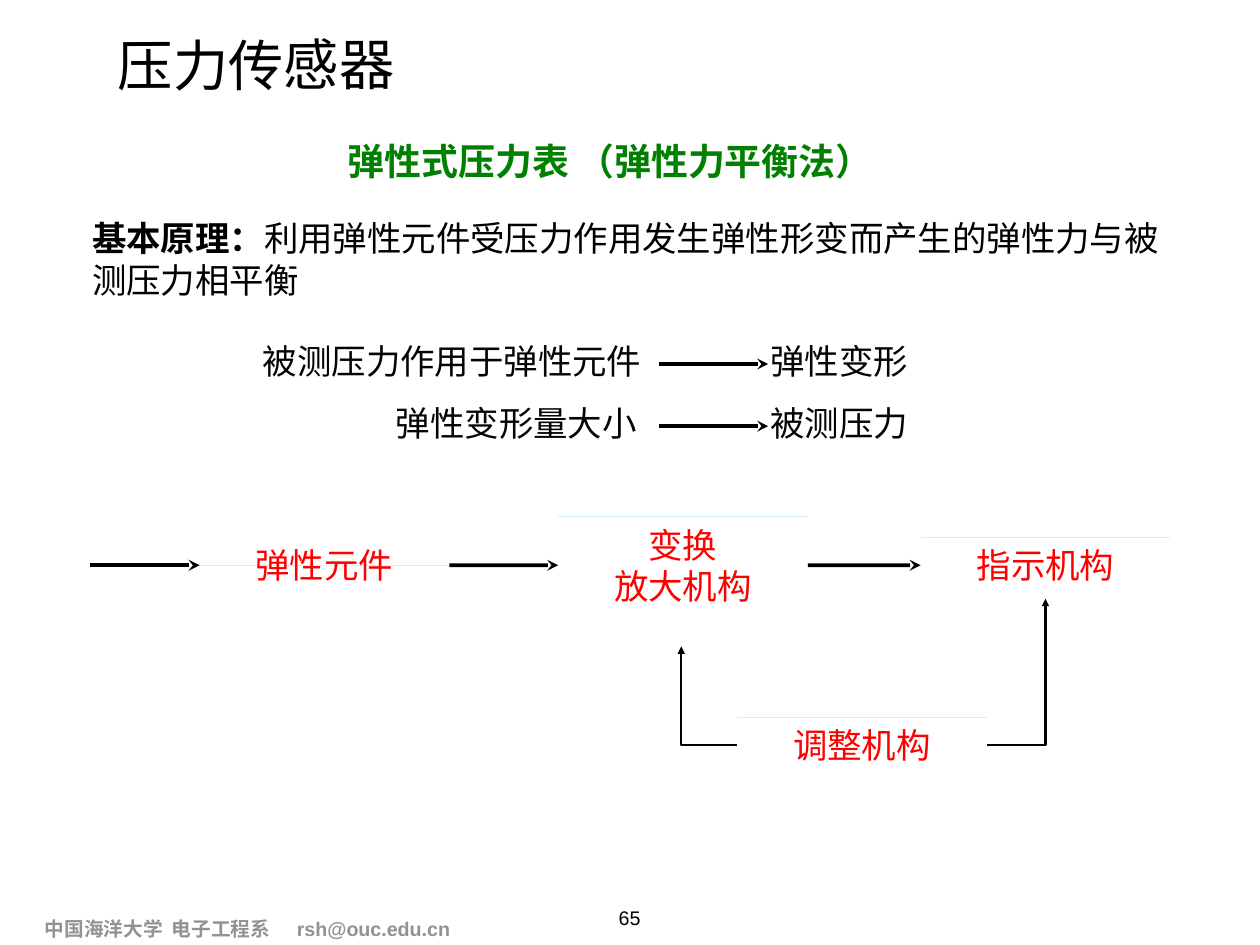
"""Build the slide on elastic pressure gauges."""
from dataclasses import dataclass

from lxml.etree import SubElement
from pptx import Presentation
from pptx.dml.color import RGBColor
from pptx.enum.shapes import MSO_CONNECTOR
from pptx.enum.text import MSO_ANCHOR, PP_ALIGN
from pptx.oxml import parse_xml
from pptx.oxml.ns import qn
from pptx.util import Cm, Pt

TITLE = "压力传感器"
HEADING = "弹性式压力表 （弹性力平衡法）"
LEAD = "基本原理："
PRINCIPLE = "利用弹性元件受压力作用发生弹性形变而产生的弹性力与被测压力相平衡"
FOOTER = "中国海洋大学\t电子工程系\trsh@ouc.edu.cn"
FOOTER_TABS = (3.64, 7.22)
PAGE_NUMBER = "65"
RELATIONS = [
    ("被测压力作用于弹性元件", "弹性变形", 7.37, 11.18),
    ("弹性变形量大小", "被测压力", 11.18, 7.24),
]
STAGES = [
    ("弹性元件", 5.72, 1.6, 0.8),
    ("变换\n放大机构", 16, 2.8, 0),
    ("指示机构", 26.39, 1.6, 0),
]
ADJUSTER = ("调整机构", 21.13, 1.6, 0)

STAGE_WIDTH = 7.16
STAGE_MIDDLE = 16.21
ADJUSTER_MIDDLE = 21.37
ROW_TOP, ROW_STEP, ROW_HEIGHT = 9.5, 1.78, 1.7


@dataclass(frozen=True)
class Theme:
    """Fonts, colours and type sizes."""

    cjk: str = "Noto Sans CJK SC"
    latin: str = "Arial"
    black: str = "000000"
    ink: str = "030609"
    green: str = "008000"
    red: str = "FF0000"
    grey: str = "929292"
    hairline: str = "D6EFFF"
    title: int = 45
    heading: int = 30
    body: int = 28
    small: int = 16


THEME = Theme()
SHADOW = (
    '<a:effectLst xmlns:a="http://schemas.openxmlformats.org/drawingml/2006/main">'
    '<a:outerShdw blurRad="50800" dist="25400" dir="5400000" rotWithShape="0">'
    '<a:srgbClr val="000000"><a:alpha val="50000"/></a:srgbClr>'
    "</a:outerShdw></a:effectLst>"
)


def write(box, text, *, lead="", font=THEME.cjk, size=THEME.body, color=THEME.black,
          bold=False, align=PP_ALIGN.CENTER, anchor=MSO_ANCHOR.MIDDLE, inset=0.15,
          wrap=False, spacing=None, tabs=(), shadow=False):
    """Put formatted text in a box, one paragraph a line."""
    frame = box.text_frame
    frame.word_wrap = wrap
    frame.vertical_anchor = anchor
    frame.margin_left = frame.margin_right = Cm(inset)
    frame.margin_top = frame.margin_bottom = Cm(inset)
    for index, line in enumerate(text.split("\n")):
        para = frame.add_paragraph() if index else frame.paragraphs[0]
        para.alignment = align
        if spacing:
            para.line_spacing = spacing
        if tabs:
            stops = SubElement(para._p.get_or_add_pPr(), qn("a:tabLst"))
            for stop in tabs:
                SubElement(stops, qn("a:tab"), pos=str(Cm(stop)), algn="l")
        for content, heavy in ((lead, True), (line, bold)):
            if not content:
                continue
            span = para.add_run()
            span.text = content
            span.font.size = Pt(size)
            span.font.bold = heavy
            span.font.color.rgb = RGBColor.from_string(color)
            properties = span.font._element
            if shadow:
                properties.append(parse_xml(SHADOW))
            span.font.name = font
            SubElement(properties, qn("a:ea"), typeface=THEME.cjk)


def add_text(page, text, left, top, width, height, **style):
    """Add a text box."""
    box = page.shapes.add_textbox(Cm(left), Cm(top), Cm(width), Cm(height))
    write(box, text, **style)
    return box


def style_line(shape, color, width, head=None):
    """Set the stroke of a line and its arrowhead."""
    shape.line.color.rgb = RGBColor.from_string(color)
    shape.line.width = Pt(width)
    if head:
        SubElement(shape.line._get_or_add_ln(), qn("a:tailEnd"), type=head)


def add_line(page, start, end, color=THEME.black, width=3, head="stealth"):
    """Add a straight connector without a shadow."""
    line = page.shapes.add_connector(
        MSO_CONNECTOR.STRAIGHT, *(Cm(value) for value in (*start, *end)))
    style_line(line, color, width, head)
    SubElement(line._element.spPr, qn("a:effectLst"))
    return line


def add_stage(page, stage, middle):
    """Add a hairline and the shadowed label of one stage."""
    text, left, height, rule_drop = stage
    top = middle - height / 2
    rule = top + rule_drop
    add_line(page, (left, rule), (left + STAGE_WIDTH, rule), THEME.hairline, 0.25, None)
    return add_text(page, text, left, top, STAGE_WIDTH, height,
                    color=THEME.red, inset=0.2, wrap=True, shadow=True)


def add_elbow(page, start, turn, tip):
    """Add an arrow that runs sideways and then up."""
    points = [(Cm(x), Cm(y)) for x, y in (start, (turn, start[1]), (turn, tip))]
    builder = page.shapes.build_freeform(*points[0])
    builder.add_line_segments(points[1:], close=False)
    elbow = builder.convert_to_shape()
    elbow.fill.background()
    elbow.shadow.inherit = False
    style_line(elbow, THEME.black, 2, "triangle")


def add_relations(page):
    """Add the cause and effect rows."""
    for index, (cause, effect, left, width) in enumerate(RELATIONS):
        top = ROW_TOP + index * ROW_STEP
        add_text(page, cause, left, top, width, ROW_HEIGHT, color=THEME.ink)
        add_text(page, effect, 21.92, top, 4.27, ROW_HEIGHT, color=THEME.ink)
        add_line(page, (18.9, top + 0.94), (22.02, top + 0.94))


def add_flow(page):
    """Add the chain of stages and the adjusting loop."""
    boxes = [add_stage(page, stage, STAGE_MIDDLE) for stage in STAGES]
    add_stage(page, ADJUSTER, ADJUSTER_MIDDLE)
    for before, after in zip([None, *boxes], boxes):
        arrow = add_line(page, (2.57, STAGE_MIDDLE), (5.72, STAGE_MIDDLE))
        if before is not None:
            arrow.begin_connect(before, 3)
        arrow.end_connect(after, 1)
    left = ADJUSTER[1]
    add_elbow(page, (left + STAGE_WIDTH, ADJUSTER_MIDDLE), 29.97, 17.17)
    add_elbow(page, (left, ADJUSTER_MIDDLE), 19.53, 18.54)


def main():
    """Build and save the deck."""
    deck = Presentation()
    deck.slide_width, deck.slide_height = Cm(36.12), Cm(27.1)
    page = deck.slides.add_slide(deck.slide_layouts[5])

    title = page.shapes.title
    title.left, title.top, title.width, title.height = Cm(1.17), Cm(0.3), Cm(12.34), Cm(3.05)
    title.rotation = -0.4
    write(title, TITLE, size=THEME.title, wrap=True)

    add_text(page, HEADING, 9.78, 3.43, 15.42, 1.75, size=THEME.heading,
             color=THEME.green, bold=True, spacing=1.5)
    add_text(page, PRINCIPLE, 2.49, 5.87, 31.17, 3.1, lead=LEAD,
             align=PP_ALIGN.LEFT, wrap=True)
    add_relations(page)
    add_flow(page)
    add_text(page, FOOTER, 1.14, 26.16, 12.67, 0.97, font=THEME.latin, size=THEME.small,
             color=THEME.grey, bold=True, align=PP_ALIGN.LEFT, wrap=True, tabs=FOOTER_TABS)
    add_text(page, PAGE_NUMBER, 17.58, 25.83, 0.94, 0.89, font=THEME.latin,
             size=THEME.small, anchor=MSO_ANCHOR.TOP)
    deck.save("out.pptx")


if __name__ == "__main__":
    main()
